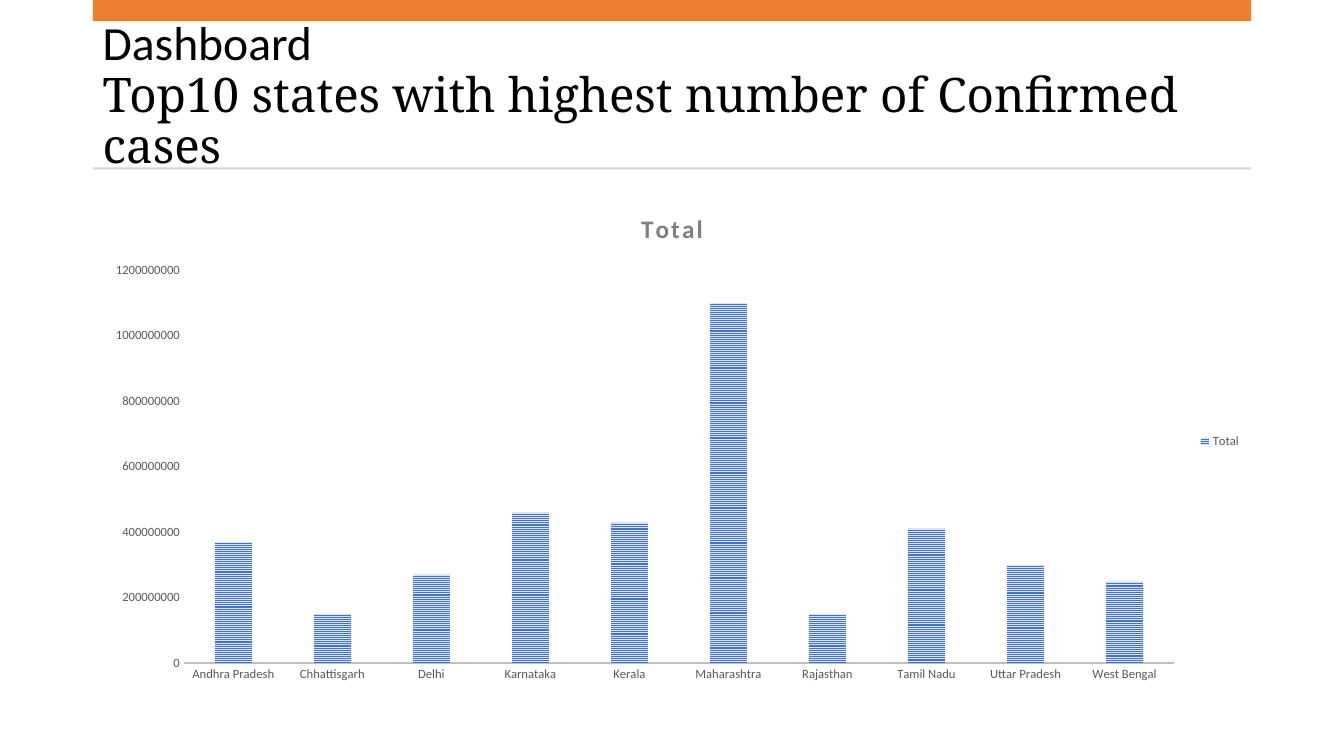
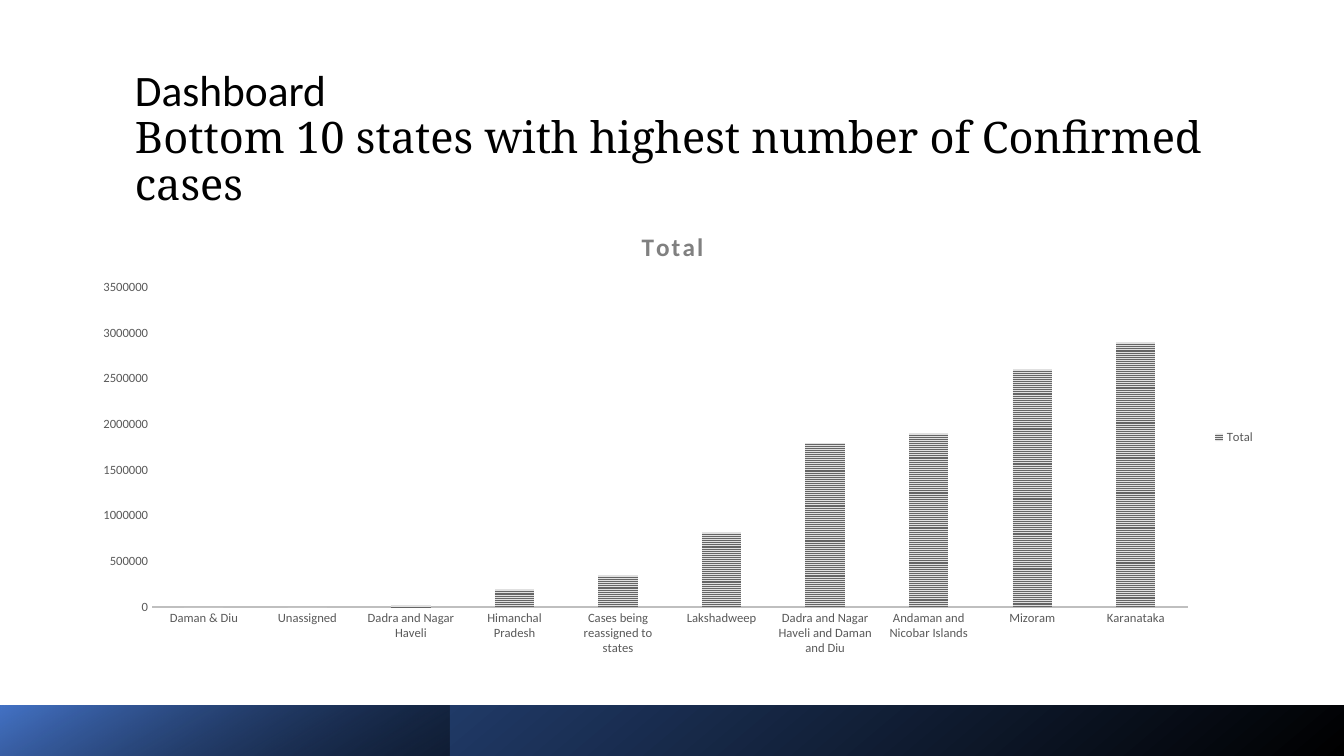
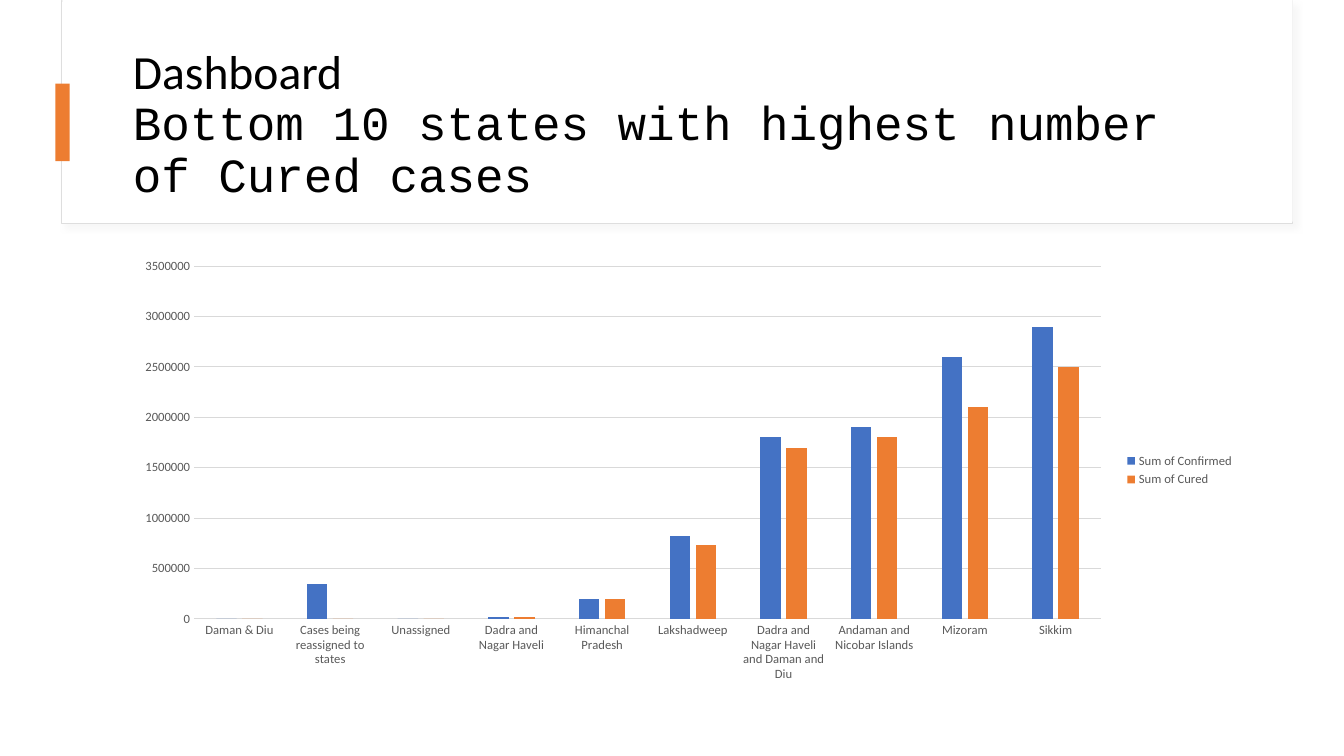
from lxml import etree
from pptx import Presentation
from pptx.chart.data import CategoryChartData
from pptx.dml.color import RGBColor
from pptx.enum import chart as charts, dml, shapes, text
from pptx.oxml import ns
from pptx.util import Inches, Pt

BLACK = RGBColor(0x00, 0x00, 0x00)
WHITE = RGBColor(0xFF, 0xFF, 0xFF)
ORANGE = RGBColor(0xED, 0x7D, 0x31)
BLUE = RGBColor(0x44, 0x72, 0xC4)
PALE_BLUE = RGBColor(0xDA, 0xE3, 0xF3)
NAVY = RGBColor(0x2F, 0x55, 0x97)
DARK_GRAY = RGBColor(0x65, 0x65, 0x65)
LIGHT_GRAY = RGBColor(0xE0, 0xE0, 0xE0)
LABEL_GRAY = RGBColor(0x59, 0x59, 0x59)
TITLE_GRAY = RGBColor(0x80, 0x80, 0x80)
AXIS_GRAY = RGBColor(0xBF, 0xBF, 0xBF)
GRID_GRAY = RGBColor(0xD9, 0xD9, 0xD9)
RULE_GRAY = RGBColor(0xD5, 0xD5, 0xD5)
PANEL_GRAY = RGBColor(0xDE, 0xDE, 0xDE)
BODY_FONT = "Calibri"

DAMAN, UNASSIGNED, REASSIGNED = "Daman & Diu", "Unassigned", "Cases being reassigned to states"
DADRA, HIMANCHAL = "Dadra and Nagar Haveli", "Himanchal Pradesh"
LARGER_STATES = ["Lakshadweep", "Dadra and Nagar Haveli and Daman and Diu",
                 "Andaman and Nicobar Islands", "Mizoram"]
MILLION = 1_000_000


def style_font(font, size, color, name=BODY_FONT, bold=False):
    font.size, font.name, font.bold = Pt(size), name, bold
    font.color.rgb = color


def add_text(paragraph, words, spacing=None, **style):
    span = paragraph.add_run()
    span.text = words
    style_font(span.font, **style)
    if spacing:
        span._r.get_or_add_rPr().set("spc", str(spacing))


def add_title(page, box, heading, size, face):
    frame = page.shapes.add_textbox(*map(Inches, box)).text_frame
    frame.word_wrap = True
    frame.vertical_anchor = text.MSO_ANCHOR.MIDDLE
    para = frame.paragraphs[0]
    para.line_spacing = 0.9
    add_text(para, "Dashboard", size=size, color=BLACK)
    para.add_line_break()
    add_text(para, heading, size=size, color=BLACK, name=face)


def add_block(page, box, fill=None, line=None):
    block = page.shapes.add_shape(shapes.MSO_SHAPE.RECTANGLE, *map(Inches, box))
    block.shadow.inherit = False
    if fill is not None:
        block.fill.solid()
        block.fill.fore_color.rgb = fill
    if line is None:
        block.line.fill.background()
    else:
        block.line.color.rgb = line
        block.line.width = Pt(0.75)
    return block


def add_xml(parent, tag, **attributes):
    return etree.SubElement(parent, ns.qn(tag), {key: str(value) for key, value in attributes.items()})


def add_color(parent, color, opacity=100):
    element = add_xml(parent, "a:srgbClr", val=color)
    if opacity < 100:
        add_xml(element, "a:alpha", val=opacity * 1000)


def add_gradient_block(page, box, stops, angle):
    block = add_block(page, box, WHITE)
    solid = block._element.spPr.find(ns.qn("a:solidFill"))
    gradient = etree.Element(ns.qn("a:gradFill"), rotWithShape="1")
    stop_list = add_xml(gradient, "a:gsLst")
    for position, color, opacity in stops:
        add_color(add_xml(stop_list, "a:gs", pos=position * 1000), color, opacity)
    add_xml(gradient, "a:lin", ang=angle * 60000, scaled=0)
    solid.getparent().replace(solid, gradient)


def style_axis(axis):
    axis.major_tick_mark = axis.minor_tick_mark = charts.XL_TICK_MARK.NONE
    style_font(axis.tick_labels.font, 9, LABEL_GRAY)


def add_column_chart(page, box, categories, series, top, step, gap, overlap,
                     axis_line, title=None, grid=False):
    """series holds (name, values, color, stripe background or None)."""
    data = CategoryChartData(number_format="General")
    data.categories = categories
    for name, values, *_ in series:
        data.add_series(name, values)
    chart = page.shapes.add_chart(charts.XL_CHART_TYPE.COLUMN_CLUSTERED,
                                  *map(Inches, box), data).chart
    style_font(chart.font, 10, BLACK)

    # Title and legend
    chart.has_title = title is not None
    if title:
        add_text(chart.chart_title.text_frame.paragraphs[0], title, spacing=150,
                 size=18, color=TITLE_GRAY, bold=True)
        chart.chart_title.include_in_layout = False
    chart.has_legend = True
    chart.legend.position = charts.XL_LEGEND_POSITION.RIGHT
    chart.legend.include_in_layout = False
    style_font(chart.legend.font, 9, LABEL_GRAY)

    # Axes
    style_axis(chart.category_axis)
    line_color, line_width = axis_line
    chart.category_axis.format.line.color.rgb = line_color
    chart.category_axis.format.line.width = Pt(line_width)
    value_axis = chart.value_axis
    style_axis(value_axis)
    value_axis.format.line.fill.background()
    value_axis.minimum_scale, value_axis.maximum_scale = 0, top
    value_axis.major_unit = step
    value_axis.has_major_gridlines = grid
    if grid:
        value_axis.major_gridlines.format.line.color.rgb = GRID_GRAY
        value_axis.major_gridlines.format.line.width = Pt(0.75)

    # Columns
    plot = chart.plots[0]
    plot.vary_by_categories = False
    plot.gap_width, plot.overlap = gap, overlap
    for columns, (_, _, color, background) in zip(plot.series, series):
        columns.invert_if_negative = False
        fill = columns.format.fill
        if background is None:
            fill.solid()
        else:
            fill.patterned()
            fill.pattern = dml.MSO_PATTERN.NARROW_HORIZONTAL
            fill.back_color.rgb = background
        fill.fore_color.rgb = color


def add_striped_chart(page, box, categories, values, color, background, top, step):
    add_column_chart(page, box, categories, [("Total", values, color, background)],
                     top, step, gap=164, overlap=-22, axis_line=(AXIS_GRAY, 1.5), title="Total")


def build_top_confirmed(page):
    left, width = 0.92, 11.49
    add_title(page, (left, 0.37, width, 1.18),
              "Top10 states with highest number of Confirmed cases", 34, "Noto Serif")
    add_block(page, (left, 0, width, 0.21), ORANGE)
    add_block(page, (left, 1.66, width, 0.02), RULE_GRAY)
    states = ["Andhra Pradesh", "Chhattisgarh", "Delhi", "Karnataka", "Kerala", "Maharashtra",
              "Rajasthan", "Tamil Nadu", "Uttar Pradesh", "West Bengal"]
    cases = [n * MILLION for n in (370, 150, 270, 460, 430, 1100, 150, 410, 300, 250)]
    add_striped_chart(page, (left, 1.9, width, 4.96), states, cases, BLUE, PALE_BLUE,
                      top=1200 * MILLION, step=200 * MILLION)


def build_bottom_confirmed(page):
    add_title(page, (1.24, 0.78, 11.13, 1.2),
              "Bottom 10 states with highest number of Confirmed cases", 31, "Noto Serif")
    # Footer band
    add_gradient_block(page, (0, 7, 13.33, 0.51), [(0, BLACK, 100), (100, NAVY, 100)], 230)
    add_gradient_block(page, (0, 7, 4.46, 0.51), [(0, BLACK, 46), (99, BLUE, 100)], 240)
    states = [DAMAN, UNASSIGNED, DADRA, HIMANCHAL, REASSIGNED, *LARGER_STATES, "Karanataka"]
    cases = [0, 0, 20000, 200000, 350000, 820000, 1800000, 1900000, 2600000, 2900000]
    add_striped_chart(page, (0.79, 2.09, 11.76, 4.5), states, cases, DARK_GRAY, LIGHT_GRAY,
                      top=3.5 * MILLION, step=MILLION / 2)


def build_bottom_cured(page):
    left, width = 1.22, 11.12
    # Title panel with a soft shadow
    panel = add_block(page, (0.61, 0.01, 12.21, 2.21), WHITE, PANEL_GRAY)
    effects = panel._element.spPr.find(ns.qn("a:effectLst"))
    shadow = add_xml(effects, "a:outerShdw", blurRad=Pt(4), dist=Pt(4), dir=45 * 60000,
                     algn="tl", rotWithShape=0)
    add_color(shadow, GRID_GRAY, 20)
    add_block(page, (0.62, 0, 12.2, 2.2), WHITE)
    add_title(page, (left, 0.6, width, 1.29),
              "Bottom 10 states with highest number of Cured cases", 34, "Courier New")
    add_block(page, (0.55, 0.83, 0.14, 0.77), ORANGE)
    states = [DAMAN, REASSIGNED, UNASSIGNED, DADRA, HIMANCHAL, *LARGER_STATES, "Sikkim"]
    confirmed = [0, 350000, 0, 20000, 200000, 820000, 1800000, 1900000, 2600000, 2900000]
    cured = [0, 0, 0, 20000, 200000, 730000, 1700000, 1800000, 2100000, 2500000]
    add_column_chart(page, (left, 2.48, width, 4.37), states,
                     [("Sum of Confirmed", confirmed, BLUE, None),
                      ("Sum of Cured", cured, ORANGE, None)],
                     top=3.5 * MILLION, step=MILLION / 2, gap=219, overlap=-27,
                     axis_line=(GRID_GRAY, 0.75), grid=True)


deck = Presentation()
deck.slide_width, deck.slide_height = Inches(13.33), Inches(7.5)
for build in (build_top_confirmed, build_bottom_confirmed, build_bottom_cured):
    build(deck.slides.add_slide(deck.slide_layouts[6]))
deck.save("out.pptx")
